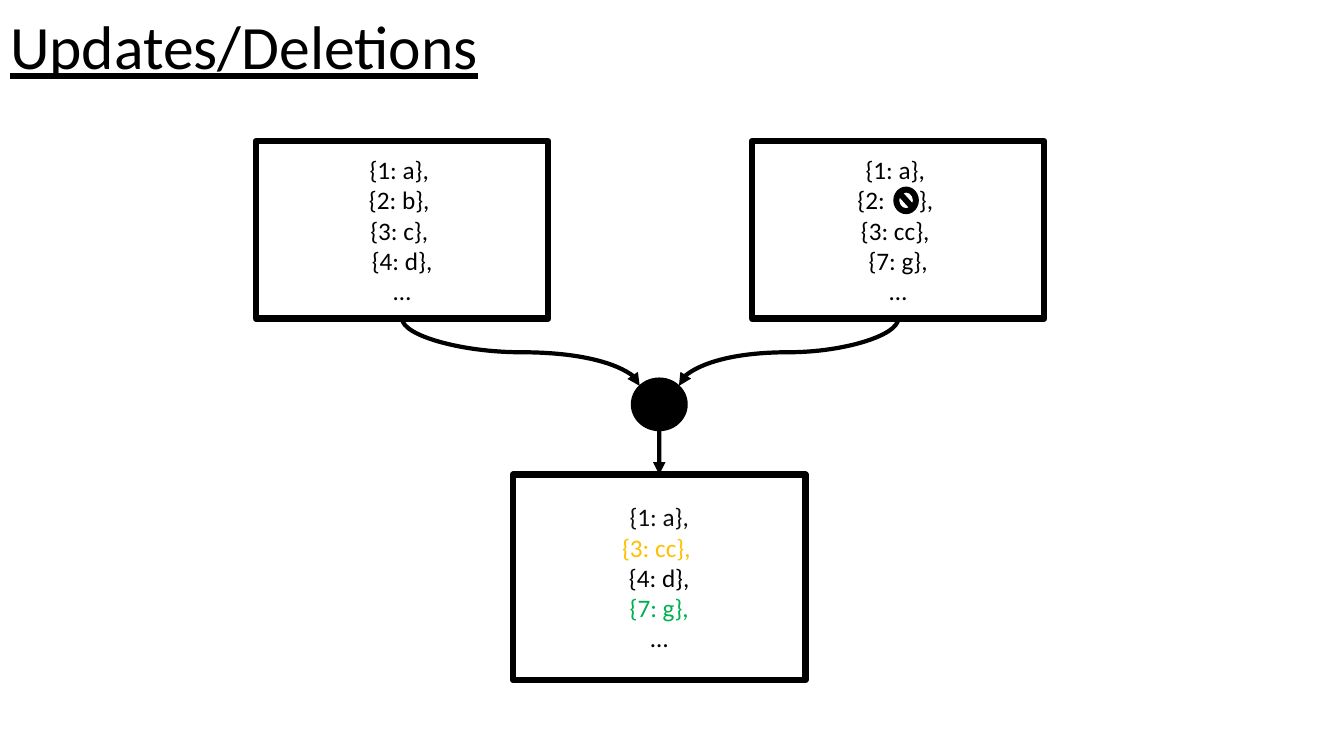
"""Build the Updates/Deletions slide: two stores merged into one."""
import math
from dataclasses import dataclass

import pptx
import pptx.dml.color
import pptx.enum.shapes
import pptx.enum.text
import pptx.oxml
import pptx.oxml.ns
import pptx.util

Cm, Pt = pptx.util.Cm, pptx.util.Pt
Kind = pptx.enum.shapes.MSO_SHAPE
Link = pptx.enum.shapes.MSO_CONNECTOR
Align = pptx.enum.text.PP_ALIGN
Anchor = pptx.enum.text.MSO_ANCHOR


@dataclass(frozen=True)
class Theme:
    """Colours, font, type sizes and line widths."""
    font: str = "Calibri"
    head: int = 44
    body: int = 18
    black: str = "000000"
    soft: str = "0D0D0D"
    white: str = "FFFFFF"
    gold: str = "FFC000"
    green: str = "00B050"
    frame: float = 4.5
    arrow: float = 3
    thin: float = 1


look = Theme()

TITLE = "Updates/Deletions"
OLD = [("{1: a}, ", look.black), ("{2: b}, ", look.black),
       ("{3: c}, ", look.black), ("{4: d},", look.black), ("…", look.black)]
NEW = [("{1: a}, ", look.black), ("{2:      }, ", look.black),
       ("{3: cc}, ", look.black), ("{7: g},", look.black), ("…", look.black)]
MERGED = [("{1: a},", look.soft), ("{3: cc}, ", look.gold),
          ("{4: d},", look.black), ("{7: g},", look.green), ("…", look.black)]

WIDE = 7.37
BOXES = {
    "old": (6.45, 3.56, WIDE, 4.47, OLD),
    "new": (18.95, 3.56, WIDE, 4.47, NEW),
    "merged": (12.93, 11.96, WIDE, 5.18, MERGED),
}
SIGN = (22.53, 4.72, 0.61, 0.66)
HUB_TOP, HUB_W, HUB_H = 9.53, 1.4, 1.32


def tint(code):
    """Turn a hex code into a colour."""
    return pptx.dml.color.RGBColor.from_string(code)


def draw(kind, area, fill, width):
    """Add a filled shape with a black outline."""
    shape = slide.shapes.add_shape(kind, *map(Cm, area))
    shape.shadow.inherit = False
    shape.fill.solid()
    shape.fill.fore_color.rgb = tint(fill)
    shape.line.color.rgb = tint(look.black)
    shape.line.width = Pt(width)
    return shape


def style(para, size, code):
    """Set the font of a paragraph."""
    para.font.name = look.font
    para.font.size = Pt(size)
    para.font.color.rgb = tint(code)


def store(left, top, width, height, rows):
    """Add a framed box that lists key-value rows."""
    box = draw(Kind.RECTANGLE, (left, top, width, height), look.white, look.frame)
    frame = box.text_frame
    frame.word_wrap = True
    frame.vertical_anchor = Anchor.MIDDLE
    for i, (text, code) in enumerate(rows):
        para = frame.add_paragraph() if i else frame.paragraphs[0]
        para.text = text
        para.alignment = Align.CENTER
        style(para, look.body, code)
    return box


def arrow(kind, x1, y1, x2, y2):
    """Add a black connector with a triangle at its end."""
    line = slide.shapes.add_connector(kind, *map(Cm, (x1, y1, x2, y2)))
    line.line.color.rgb = tint(look.black)
    line.line.width = Pt(look.arrow)
    space = pptx.oxml.ns.nsdecls("a")
    props = line._element.spPr
    tail = pptx.oxml.parse_xml(f'<a:tailEnd {space} type="triangle"/>')
    line.line._get_or_add_ln().append(tail)
    props.append(pptx.oxml.parse_xml(f"<a:effectLst {space}/>"))
    return line


def curve(x1, y1, x2, y2):
    """Add a curved arrow that leaves and arrives vertically."""
    midx, midy = (x1 + x2) / 2, (y1 + y2) / 2
    run, drop = abs(x2 - x1) / 2, (y2 - y1) / 2
    side = 1 if x2 > x1 else -1
    line = arrow(Link.CURVE, midx + side * drop, midy - run,
                 midx - side * drop, midy + run)
    turn = 270 if side > 0 else 90
    line._element.spPr.find(pptx.oxml.ns.qn("a:xfrm")).set("rot", str(turn * 60000))


deck = pptx.Presentation()
deck.slide_width, deck.slide_height = Cm(33.87), Cm(19.05)
slide = deck.slides.add_slide(deck.slide_layouts[5])

title = slide.shapes.title
title.left, title.top, title.width, title.height = map(Cm, (0, 0, 12.93, 2.51))
title.text_frame.text = TITLE
title.text_frame.vertical_anchor = Anchor.MIDDLE
head = title.text_frame.paragraphs[0]
head.alignment = Align.LEFT
head.line_spacing = 0.9
head.font.underline = True
style(head, look.head, look.black)

boxes = {name: store(*spec) for name, spec in BOXES.items()}
draw(Kind.NO_SYMBOL, SIGN, look.black, look.thin)

left, top, width, _, _ = BOXES["merged"]
mid = left + width / 2
stem = arrow(Link.STRAIGHT, mid, HUB_TOP + HUB_H, mid, top)
stem.end_connect(boxes["merged"], 0)
draw(Kind.FLOWCHART_CONNECTOR, (mid - HUB_W / 2, HUB_TOP, HUB_W, HUB_H),
     look.black, look.thin)

diag = math.sqrt(0.5)
for name, side in (("old", -1), ("new", 1)):
    left, top, width, height, _ = BOXES[name]
    curve(left + width / 2, top + height,
          mid + side * diag * HUB_W / 2, HUB_TOP + (1 - diag) * HUB_H / 2)

deck.save("out.pptx")
